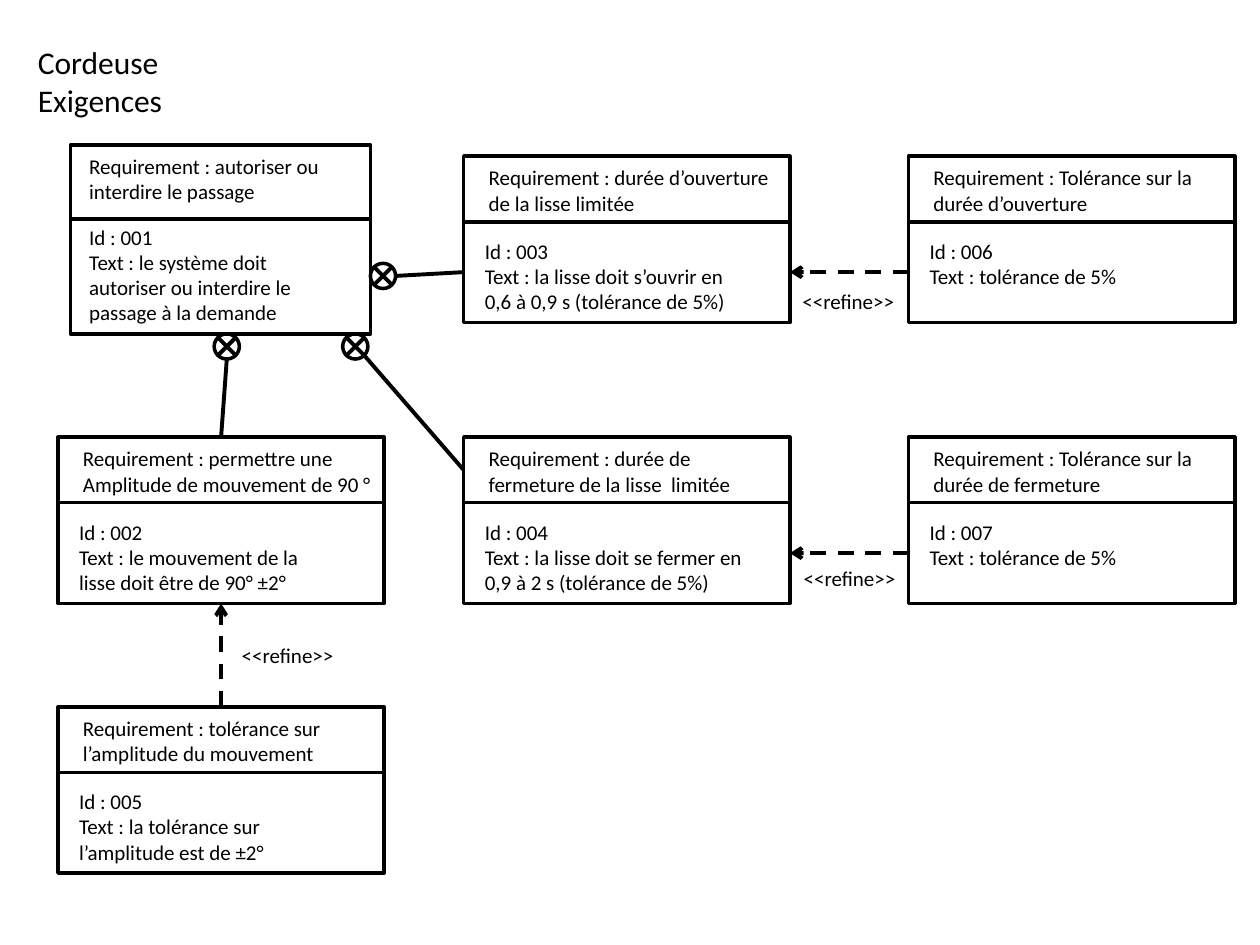
import pptx
import pptx.util
import pptx.dml.color
import pptx.enum.dml
import pptx.enum.shapes
import pptx.enum.text
import pptx.oxml
import pptx.oxml.ns

COLORS = {"ink": "000000"}
FONT = "Calibri"
COLUMNS = (0.46, 3.68, 7.21)
ROWS = (1.24, 3.47, 5.61)
BOX_WIDTH, HEAD_HEIGHT, BODY_HEIGHT = 2.59, 0.52, 0.8
TOP, LEFT, BOTTOM, RIGHT = range(4)
MARK_SIZE = 0.2

# column, row, heading lines, body lines
REQUIREMENTS = {
    "003": (1, 0, ["Requirement : durée d’ouverture de la lisse limitée"],
            "Text : la lisse doit s’ouvrir en 0,6 à 0,9 s (tolérance de 5%)"),
    "004": (1, 1, ["Requirement : durée de fermeture de la lisse  limitée"],
            "Text : la lisse doit se fermer en 0,9 à 2 s (tolérance de 5%)"),
    "006": (2, 0, ["Requirement : Tolérance sur la durée d’ouverture"],
            "Text : tolérance de 5%"),
    "007": (2, 1, ["Requirement : Tolérance sur la durée de fermeture"],
            "Text : tolérance de 5%"),
    "002": (0, 1, ["Requirement : permettre une ", "Amplitude de mouvement de 90 °"],
            "Text : le mouvement de la lisse doit être de 90° ±2°"),
    "005": (0, 2, ["Requirement : tolérance sur l’amplitude du mouvement"],
            "Text : la tolérance sur l’amplitude est de ±2°"),
}


def inches(*lengths):
    """Convert lengths in inches to slide units."""
    return [pptx.util.Inches(length) for length in lengths]


def ink():
    """Return the drawing colour."""
    return pptx.dml.color.RGBColor.from_string(COLORS["ink"])


def fill_text(text_frame, lines, size):
    """Write one left-aligned paragraph for each line."""
    text_frame.text = "\n".join(lines)
    for paragraph in text_frame.paragraphs:
        paragraph.alignment = pptx.enum.text.PP_ALIGN.LEFT
        paragraph.font.name = FONT
        paragraph.font.size = pptx.util.Pt(size)
        paragraph.font.color.rgb = ink()


def add_title(slide, lines):
    """Place the title at the top left."""
    title = slide.shapes.title
    title.left, title.top, title.width, title.height = inches(0.2, 0.29, 1.2, 0.71)
    fill_text(title.text_frame, lines, 18)
    title.text_frame.word_wrap = False
    title.text_frame.auto_size = pptx.enum.text.MSO_AUTO_SIZE.NONE
    title.text_frame.vertical_anchor = pptx.enum.text.MSO_ANCHOR.TOP


def add_label(slide, left, top, width, height, lines):
    """Add a wrapping 12 point text box."""
    label = slide.shapes.add_textbox(*inches(left, top, width, height))
    label.text_frame.word_wrap = True
    fill_text(label.text_frame, lines, 12)


def add_outline(slide, kind, left, top, width, height):
    """Add an unfilled shape with a black outline."""
    shape = slide.shapes.add_shape(kind, *inches(left, top, width, height))
    shape.shadow.inherit = False
    shape.fill.background()
    shape.line.color.rgb = ink()
    shape.line.width = pptx.util.Pt(2)
    return shape


def add_frame(slide, left, top, width, head_height, body_height):
    """Add the two stacked compartments of a requirement."""
    rectangle = pptx.enum.shapes.MSO_SHAPE.RECTANGLE
    body = add_outline(slide, rectangle, left, top + head_height, width, body_height)
    head = add_outline(slide, rectangle, left, top, width, head_height)
    return head, body


def add_requirement(slide, number, column, row, heading, text):
    """Add a requirement in a cell of the grid."""
    left, top = COLUMNS[column], ROWS[row]
    frame = add_frame(slide, left, top, BOX_WIDTH, HEAD_HEIGHT, BODY_HEIGHT)
    add_label(slide, left + 0.07, top + 0.6, 2.26, 0.71, [f"Id : {number}", text])
    add_label(slide, left + 0.1, top + 0.02, 2.49, 0.5, heading)
    return frame


def add_main_requirement(slide):
    """Add the root requirement, larger in height than the others."""
    left, top = 0.56, 1.15
    add_frame(slide, left, top, 2.38, 0.59, 0.91)
    add_label(slide, left + 0.05, top + 0.02, 2.26, 0.5,
              ["Requirement : autoriser ou interdire le passage"])
    add_label(slide, left + 0.05, top + 0.58, 2.26, 0.91,
              ["Id : 001",
               "Text : le système doit autoriser ou interdire le passage à la demande"])


def add_line(slide, start=(0, 0), end=(0, 0)):
    """Add a straight black line between two points."""
    line = slide.shapes.add_connector(
        pptx.enum.shapes.MSO_CONNECTOR.STRAIGHT, *inches(*start, *end))
    line.line.color.rgb = ink()
    line.line.width = pptx.util.Pt(2.25)
    properties = line._element.spPr
    properties.append(pptx.oxml.parse_xml(
        f"<a:effectLst {pptx.oxml.ns.nsdecls('a')}/>"))
    return line


def add_containment(slide, left, top, start, target, site):
    """Add a crossed circle and its line to a contained requirement."""
    add_outline(slide, pptx.enum.shapes.MSO_SHAPE.OVAL, left, top, MARK_SIZE, MARK_SIZE)
    near, far = 0.03, MARK_SIZE - 0.03
    add_line(slide, (left + near, top + near), (left + far, top + far))
    add_line(slide, (left + near, top + far), (left + far, top + near))
    link = add_line(slide, (left + start[0], top + start[1]))
    link.end_connect(target, site)


def add_refinement(slide, source, source_site, target, target_site, label_at):
    """Add a dashed arrow between requirements with its label."""
    arrow = add_line(slide)
    arrow.begin_connect(source, source_site)
    arrow.end_connect(target, target_site)
    arrow.line.dash_style = pptx.enum.dml.MSO_LINE.DASH
    arrow.line._get_or_add_ln().append(pptx.oxml.parse_xml(
        f"<a:tailEnd {pptx.oxml.ns.nsdecls('a')} type='arrow'/>"))
    add_label(slide, *label_at, 0.99, 0.3, ["<<refine>>"])


def main():
    """Build the requirements diagram."""
    presentation = pptx.Presentation()
    presentation.slide_width, presentation.slide_height = inches(10, 7.5)
    slide = presentation.slides.add_slide(presentation.slide_layouts[5])
    add_title(slide, ["Cordeuse", "Exigences"])

    frames = {number: add_requirement(slide, number, *details)
              for number, details in REQUIREMENTS.items()}
    heads = {number: frame[0] for number, frame in frames.items()}
    bodies = {number: frame[1] for number, frame in frames.items()}
    add_main_requirement(slide)

    add_containment(slide, 1.7, 2.65, (0.1, 0.2), heads["002"], TOP)
    add_containment(slide, 2.72, 2.65, (0.17, 0.17), heads["004"], LEFT)
    add_containment(slide, 2.94, 2.09, (0.2, 0.1), bodies["003"], LEFT)

    add_refinement(slide, bodies["006"], LEFT, bodies["003"], RIGHT, (6.27, 2.24))
    add_refinement(slide, bodies["007"], LEFT, bodies["004"], RIGHT, (6.28, 4.44))
    add_refinement(slide, heads["005"], TOP, bodies["002"], BOTTOM, (1.82, 5.05))

    presentation.save("out.pptx")


main()
